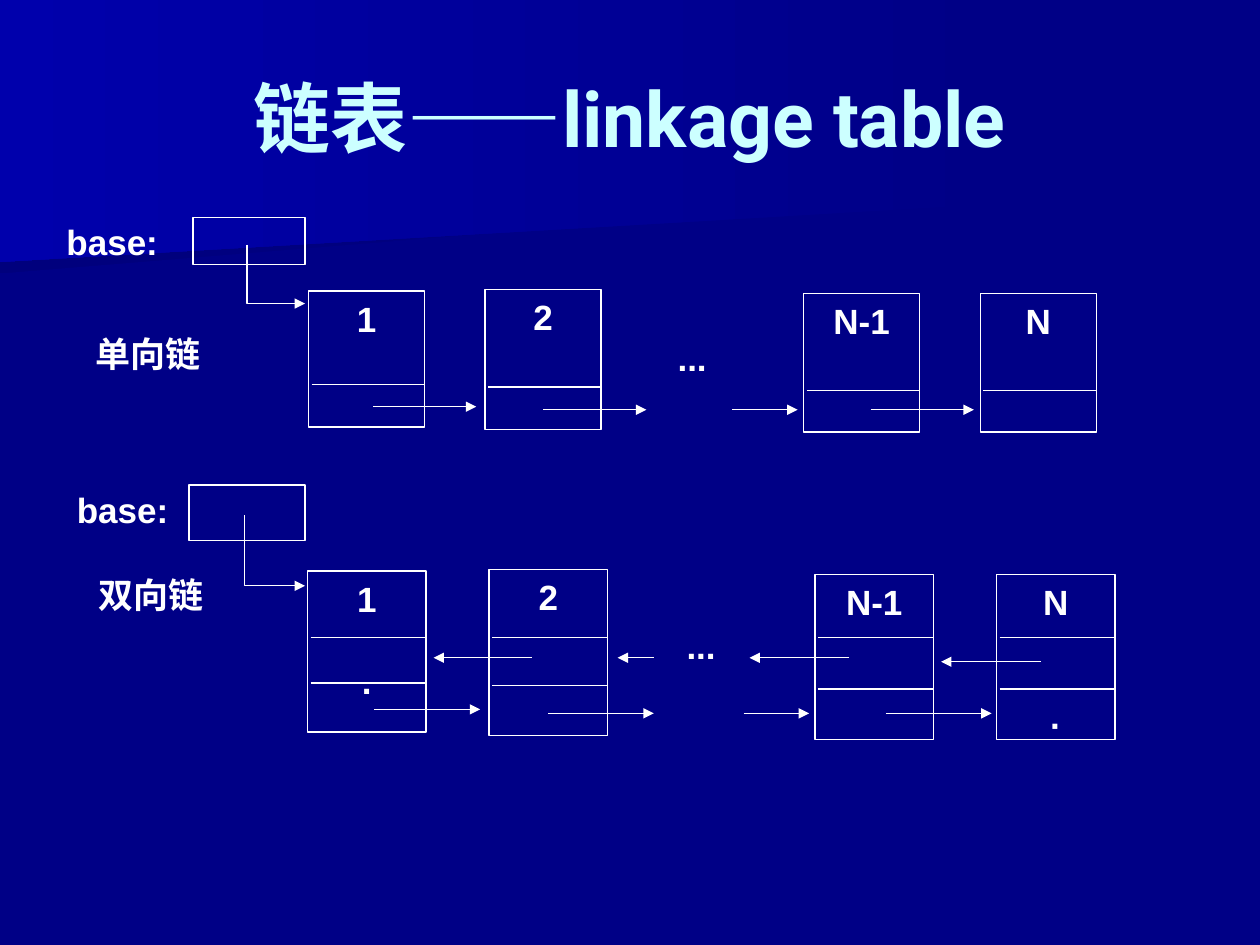
from lxml.etree import SubElement
from pptx import Presentation
from pptx.dml.color import RGBColor
from pptx.enum.shapes import MSO_CONNECTOR, MSO_SHAPE
from pptx.enum.text import MSO_ANCHOR, PP_ALIGN
from pptx.oxml.ns import qn
from pptx.util import Cm, Pt

HUES = {"back": "000086", "dark": "00007D", "glow": "0000AC",
        "title": "CCFFFF", "ink": "FFFFFF"}
HUE = {name: RGBColor.from_string(code) for name, code in HUES.items()}


def write(shape, text, size=20, font="Arial", hue="ink",
          align=PP_ALIGN.LEFT, anchor=MSO_ANCHOR.TOP, gap=0):
    """Fill a shape with text; gap is the space in points between its lines."""
    frame = shape.text_frame
    frame.word_wrap = True
    frame.vertical_anchor = anchor
    frame.text = text
    for i, para in enumerate(frame.paragraphs):
        para.alignment = align
        para.space_before = Pt(gap if i else 0)
        para.font.size = Pt(size)
        para.font.name = font
        para.font.bold = True
        para.font.color.rgb = HUE[hue]


def trim(shape, arrow=False):
    """Give a shape or connector a thin white line without a shadow."""
    shape.line.color.rgb = HUE["ink"]
    shape.line.width = Pt(0.75)
    if arrow:
        SubElement(shape.line._get_or_add_ln(), qn("a:tailEnd"), type="triangle")
    SubElement(shape._element.spPr, qn("a:effectLst"))


deck = Presentation()
deck.slide_width, deck.slide_height = Cm(25.4), Cm(19.05)
slide = deck.slides.add_slide(deck.slide_layouts[5])
shapes = slide.shapes
slide.background.fill.solid()
slide.background.fill.fore_color.rgb = HUE["back"]

# Background beams, placed behind the title
beams = [
    ("dark", [(0, 2.57), (19.79, 2.57), (19.76, 3.89), (0, 5.51)]),
    ("glow", [(0, 0), (20.12, 0), (20.12, 4.11), (0, 5.28)]),
]
for i, (hue, spots) in enumerate(beams):
    path = [(Cm(x), Cm(y)) for x, y in spots]
    pen = shapes.build_freeform(*path[0])
    pen.add_line_segments(path[1:])
    beam = pen.convert_to_shape()
    beam.shadow.inherit = False
    beam.line.fill.background()
    beam.fill.gradient()
    beam.fill.gradient_angle = 180
    for stop, name in zip(beam.fill.gradient_stops, ("back", hue)):
        stop.color.rgb = HUE[name]
    shapes._spTree.insert(2 + i, beam._element)

title = shapes.title
title.left, title.top, title.width, title.height = Cm(1.27), Cm(0.76), Cm(22.86), Cm(3.18)
write(title, "链表——linkage table", size=44, font="Roboto", hue="title",
      align=PP_ALIGN.CENTER, anchor=MSO_ANCHOR.MIDDLE)

# Each node: text, left, top, height, heights of its dividers, line gap.
# Each arrow: start, end, height.
chains = [
    {
        "labels": [("base:", 1.09, 4.32, 2.6, 0.94),
                   ("单向链", 1.68, 6.58, 3.94, 1.57),
                   ("...", 13.41, 6.65, 1.42, 1.19)],
        "base": (3.89, 4.39, 2.26, 0.94),
        "bend": [(4.98, 4.93), (4.98, 6.12), (6.15, 6.12)],
        "width": 2.34,
        "nodes": [("1", 6.22, 5.87, 2.74, [7.75], 0),
                  ("2", 9.78, 5.84, 2.82, [7.8], 0),
                  ("N-1", 16.2, 5.92, 2.79, [7.87], 0),
                  ("N", 19.76, 5.92, 2.79, [7.87], 0)],
        "arrows": [(7.52, 9.6, 8.2), (10.95, 13.03, 8.26),
                   (14.76, 16.08, 8.26), (17.55, 19.63, 8.26)],
    },
    {
        "labels": [("base:", 1.3, 9.73, 2.6, 1.12),
                   ("双向链", 1.73, 11.43, 2.67, 1.35),
                   ("...", 13.59, 12.47, 1.47, 1.42)],
        "base": (3.81, 9.78, 2.34, 1.12),
        "bend": [(4.93, 10.39), (4.93, 11.81), (6.15, 11.81)],
        "width": 2.39,
        "nodes": [("1\n.", 6.2, 11.51, 3.25, [12.85, 13.77], 23),
                  ("2", 9.86, 11.48, 3.35, [12.85, 13.82], 0),
                  ("N-1", 16.43, 11.58, 3.33, [12.85, 13.89], 0),
                  ("N\n·", 20.09, 11.58, 3.33, [12.85, 13.89], 46)],
        "arrows": [(7.54, 9.68, 14.3), (11.05, 13.18, 14.38),
                   (14.99, 16.31, 14.38), (17.86, 19.99, 14.38),
                   (20.98, 18.97, 13.34), (17.12, 15.11, 13.26),
                   (13.18, 12.45, 13.26), (10.72, 8.74, 13.26)],
    },
]

for chain in chains:
    for text, *place in chain["labels"]:
        write(shapes.add_textbox(*map(Cm, place)), text)

    base = shapes.add_shape(MSO_SHAPE.RECTANGLE, *map(Cm, chain["base"]))
    base.fill.background()
    trim(base)

    path = [(Cm(x), Cm(y)) for x, y in chain["bend"]]
    pen = shapes.build_freeform(*path[0])
    pen.add_line_segments(path[1:], close=False)
    bend = pen.convert_to_shape()
    bend.fill.background()
    trim(bend, arrow=True)

    wide = chain["width"]
    lines = [(*arrow, True) for arrow in chain["arrows"]]
    for text, left, top, high, cuts, gap in chain["nodes"]:
        node = shapes.add_shape(MSO_SHAPE.RECTANGLE, Cm(left), Cm(top), Cm(wide), Cm(high))
        node.fill.background()
        trim(node)
        write(node, text, align=PP_ALIGN.CENTER, gap=gap)
        lines += [(left + 0.06, left + wide, cut, False) for cut in cuts]

    for start, end, y, arrow in lines:
        line = shapes.add_connector(MSO_CONNECTOR.STRAIGHT, Cm(start), Cm(y), Cm(end), Cm(y))
        trim(line, arrow)

deck.save("out.pptx")
